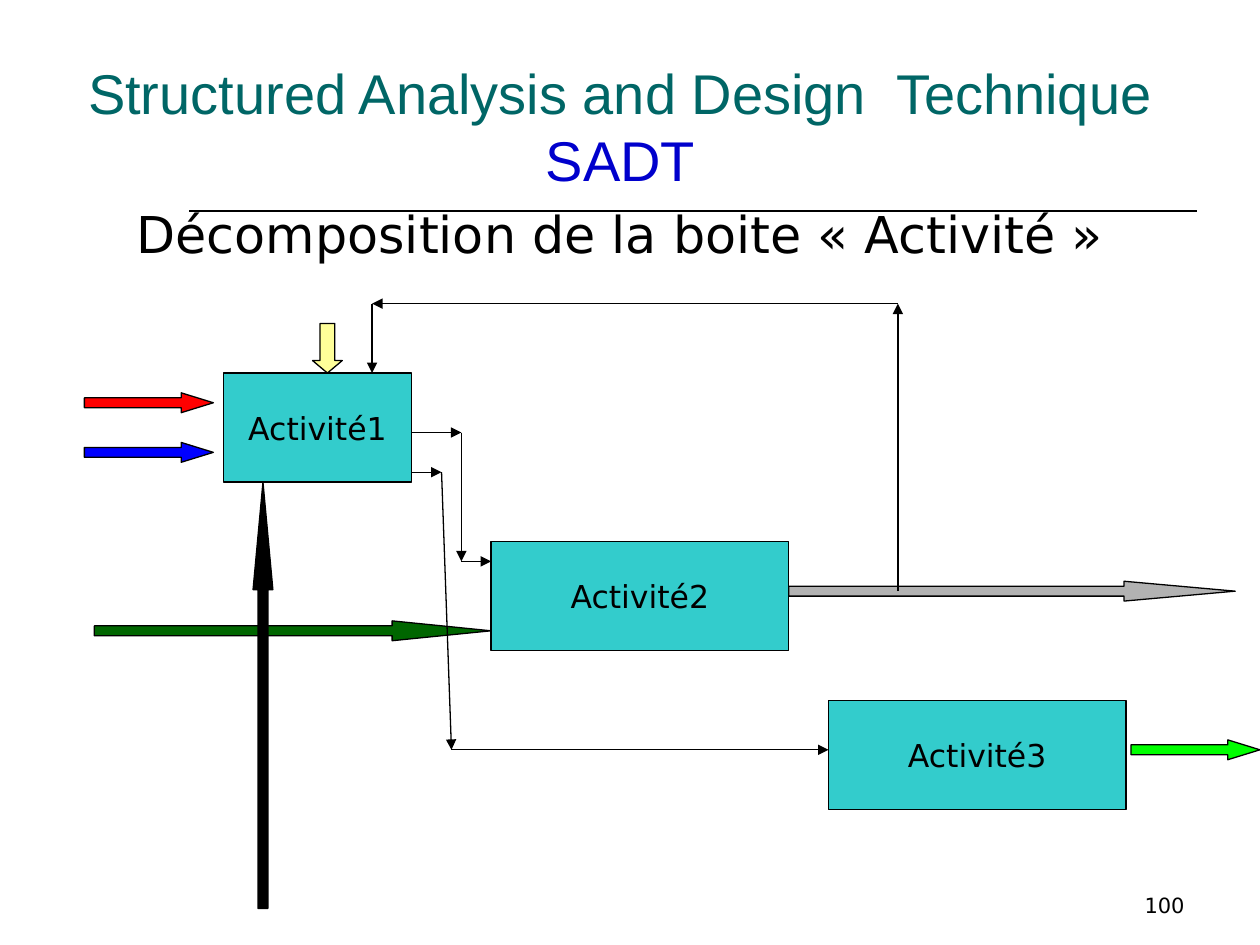
from itertools import pairwise

from lxml.etree import SubElement
from pptx import Presentation
from pptx.dml.color import RGBColor
from pptx.enum.shapes import MSO_CONNECTOR as Connector, MSO_SHAPE as Shape
from pptx.enum.text import MSO_ANCHOR as Anchor, PP_ALIGN as Align
from pptx.oxml.ns import qn
from pptx.util import Inches, Pt

BLACK = RGBColor(0x00, 0x00, 0x00)
TEAL = RGBColor(0x00, 0x66, 0x66)
NAVY = RGBColor(0x00, 0x00, 0xCC)
TURQUOISE = RGBColor(0x33, 0xCC, 0xCC)
RED = RGBColor(0xFF, 0x00, 0x00)
BLUE = RGBColor(0x00, 0x00, 0xFF)
DARK_GREEN = RGBColor(0x00, 0x66, 0x00)
GREY = RGBColor(0xB2, 0xB2, 0xB2)
LIME = RGBColor(0x00, 0xFF, 0x00)
YELLOW = RGBColor(0xFF, 0xFF, 0x99)

SANS = "DejaVu Sans"
COLUMNS, ROWS = 118.5, 61  # grid of the diagram

# Activity boxes: label, column, row, columns wide, rows high
ACTIVITIES = [
    ("Activité1", 14, 7, 19, 11),
    ("Activité2", 41, 24, 30, 11),
    ("Activité3", 75, 40, 34 - 4, 11),
]
# Block arrows: shape, colour, head length, column, row, columns wide, rows high
BLOCK_ARROWS = [
    (Shape.RIGHT_ARROW, RED, 1.62, 0, 9, 13, 2),
    (Shape.RIGHT_ARROW, BLUE, 1.62, 0, 14, 13, 2),
    (Shape.RIGHT_ARROW, DARK_GREEN, 4.99, 1, 32, 40, 2),
    (Shape.RIGHT_ARROW, GREY, 5.6, 71, 28, 45, 2),
    (Shape.RIGHT_ARROW, LIME, 1.62, 105.5, 44, 13, 2),
    (Shape.DOWN_ARROW, YELLOW, 0.42, 23, 2, 3, 5),
    (Shape.UP_ARROW, BLACK, 5.42, 17, 18, 2, 43),
]
# Flows between activities: corner points (column, row), an arrowhead at each
FLOWS = [
    [(33, 13), (38, 13), (38, 26), (41, 26)],
    [(33, 17), (36, 17), (37, 45), (75, 45)],
    [(82, 29), (82, 0), (29, 0), (29, 7)],
]


def add_text(box, lines, size=18, font=SANS, align=Align.CENTER,
             anchor=Anchor.MIDDLE, wrap=True, spacing=None, before=None):
    """Write (text, colour) lines as one paragraph with line breaks."""
    frame = box.text_frame
    frame.word_wrap = wrap
    frame.vertical_anchor = anchor
    para = frame.paragraphs[0]
    para.alignment = align
    para.line_spacing = spacing
    para.space_before = before
    for index, (text, colour) in enumerate(lines):
        if index:
            para.add_line_break()
        span = para.add_run()
        span.text = text
        span.font.size = Pt(size)
        span.font.name = font
        span.font.color.rgb = colour


def add_block(page, shape, area, fill):
    block = page.shapes.add_shape(shape, *area)
    block.shadow.inherit = False
    block.fill.solid()
    block.fill.fore_color.rgb = fill
    block.line.color.rgb = BLACK
    block.line.width = Pt(0.75)
    return block


def add_line(page, start, end, width=0.75, arrow=True):
    line = page.shapes.add_connector(Connector.STRAIGHT, *start, *end)
    line.line.color.rgb = BLACK
    line.line.width = Pt(width)
    if arrow:
        SubElement(line.line._get_or_add_ln(), qn("a:tailEnd"), type="triangle")
    SubElement(line._element.spPr, qn("a:effectLst"))


def add_header(page, left, top, width, height):
    """Title over a rule, with the subtitle beneath it."""
    title = page.shapes.add_textbox(left, top, width, int(height * 0.68))
    add_text(title, [("Structured Analysis and Design  Technique", TEAL),
                     ("SADT", NAVY)],
             size=32, font="Arial", anchor=Anchor.BOTTOM)
    rule = top + int(height * 0.73)
    add_line(page, (left + Inches(1.15), rule), (left + width, rule),
             width=1, arrow=False)
    subtitle = page.shapes.add_textbox(left, top + int(height * 0.7),
                                       width, int(height * 0.3))
    add_text(subtitle, [("Décomposition de la boite «\u00a0Activité\u00a0»", BLACK)],
             size=29, anchor=Anchor.TOP, spacing=0.9, before=Pt(7.3))


def add_diagram(page, left, top, width, height):
    """Activity boxes, their block arrows and the flows between them."""
    def point(column, row):
        return (left + int(width * column / COLUMNS),
                top + int(height * row / ROWS))

    def area(column, row, columns, rows):
        return (*point(column, row),
                int(width * columns / COLUMNS), int(height * rows / ROWS))

    for shape, colour, head, *cells in BLOCK_ARROWS:
        arrow = add_block(page, shape, area(*cells), colour)
        arrow.adjustments[0] = 0.5
        arrow.adjustments[1] = head
    for label, *cells in ACTIVITIES:
        activity = add_block(page, Shape.RECTANGLE, area(*cells), TURQUOISE)
        add_text(activity, [(label, BLACK)], wrap=False)
    for corners in FLOWS:
        for start, end in pairwise(corners):
            add_line(page, point(*start), point(*end))


def add_page_number(page, left, top, width, height):
    number = page.shapes.add_textbox(left, top, width, height)
    add_text(number, [("100", BLACK)], size=12, align=Align.RIGHT,
             anchor=Anchor.BOTTOM)


def main():
    deck = Presentation()
    deck.slide_width, deck.slide_height = Inches(10), Inches(7.5)
    page = deck.slides.add_slide(deck.slide_layouts[6])
    add_header(page, Inches(0.35), Inches(0.28), Inches(9.15), Inches(1.91))
    add_diagram(page, Inches(0.67), Inches(2.41), Inches(9.33), Inches(4.8))
    add_page_number(page, Inches(7.17), Inches(6.83), Inches(2.33), Inches(0.5))
    deck.save("out.pptx")


if __name__ == "__main__":
    main()
